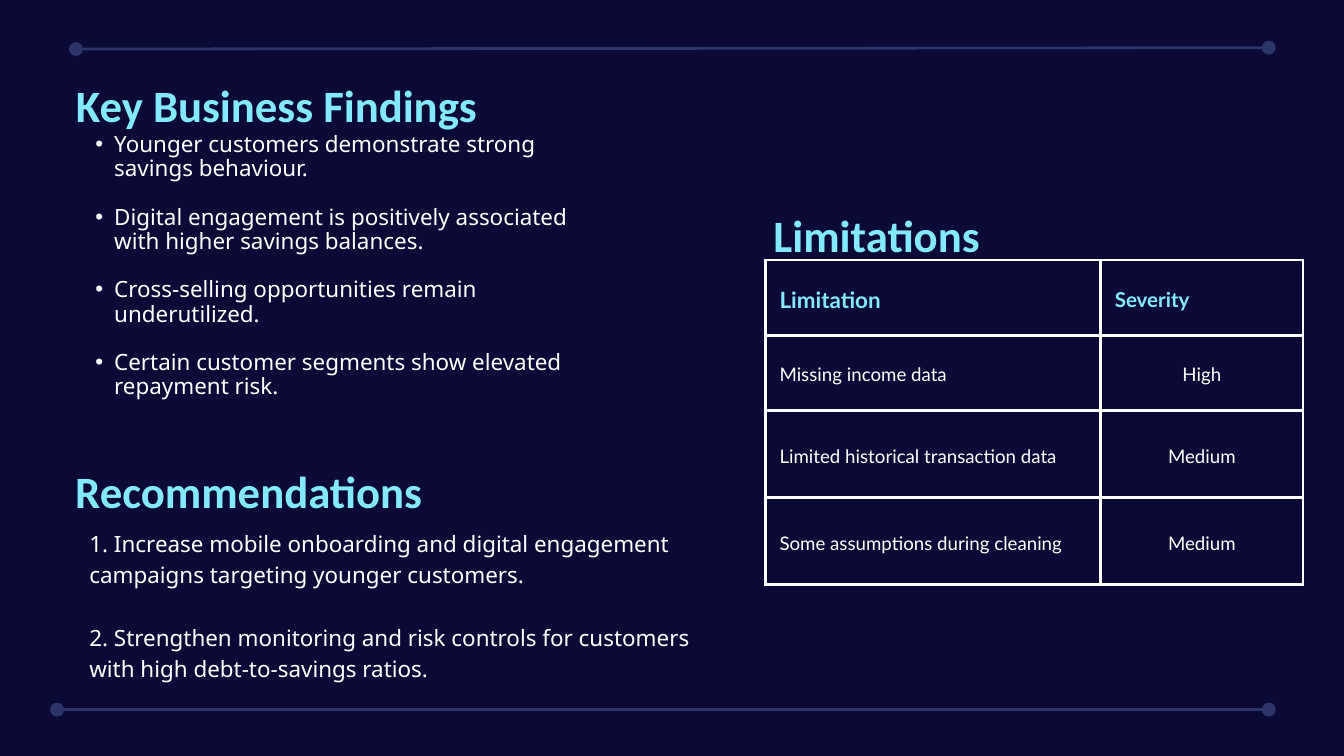
from lxml.etree import SubElement
from pptx import Presentation
from pptx.dml.color import RGBColor
from pptx.enum.shapes import MSO_CONNECTOR
from pptx.enum.text import MSO_ANCHOR, MSO_AUTO_SIZE, PP_ALIGN
from pptx.oxml.ns import qn
from pptx.util import Inches, Pt

COLUMNS, ROWS = 200, 112.5
NAVY, SLATE, CYAN, WHITE = "0B0A36", "2B3567", "82EAFC", "FFFFFF"


def colour(value):
    return RGBColor.from_string(value)


class FindingsPage:
    heading_font, body_font, table_font = "Calibri", "Noto Sans", "Lato"
    line_width = Pt(3)

    def __init__(self, deck):
        self.column = deck.slide_width / COLUMNS
        self.row = deck.slide_height / ROWS
        self.page = deck.slides.add_slide(deck.slide_layouts[5])
        self.page.background.fill.solid()
        self.page.background.fill.fore_color.rgb = colour(NAVY)

    def place(self, left, top, width, height):
        return (round(left * self.column), round(top * self.row),
                round(width * self.column), round(height * self.row))

    def add_text(self, para, text, font, size, tint, spacing, bold=False, align=PP_ALIGN.LEFT):
        para.alignment = align
        para.line_spacing = Pt(spacing)
        span = para.add_run()
        span.text = text
        span.font.name = font
        span.font.size = Pt(size)
        span.font.bold = bold
        span.font.color.rgb = colour(tint)

    def prepare(self, box):
        frame = box.text_frame
        frame.word_wrap = True
        frame.auto_size = MSO_AUTO_SIZE.SHAPE_TO_FIT_TEXT
        frame.vertical_anchor = MSO_ANCHOR.TOP
        frame.margin_left = frame.margin_top = frame.margin_right = frame.margin_bottom = 0
        return frame

    def heading(self, text, left, top, is_title=False):
        area = self.place(left, top, 77.6, 9.1)
        if is_title:
            box = self.page.shapes.title
            box.left, box.top, box.width, box.height = area
        else:
            box = self.page.shapes.add_textbox(*area)
        para = self.prepare(box).paragraphs[0]
        self.add_text(para, text, self.heading_font, 48, CYAN, 67.2, bold=True)

    def body(self, texts, area, spacing, bulleted=False):
        frame = self.prepare(self.page.shapes.add_textbox(*self.place(*area)))
        for index, text in enumerate(texts):
            para = frame.add_paragraph() if index else frame.paragraphs[0]
            if index:
                para.space_before = Pt(spacing)
            if bulleted:
                self.bullet(para)
            self.add_text(para, text, self.body_font, 24, WHITE, spacing)

    def bullet(self, para):
        properties = para._p.get_or_add_pPr()
        properties.set("marL", str(Inches(0.57)))
        properties.set("indent", str(Inches(-0.28)))
        SubElement(properties, qn("a:buFont"), typeface="Arial")
        SubElement(properties, qn("a:buChar"), char="•")

    def rule(self, start, end):
        x1, y1, x2, y2 = self.place(*start, *end)
        rule = self.page.shapes.add_connector(MSO_CONNECTOR.STRAIGHT, x1, y1, x2, y2)
        rule.line.color.rgb = colour(SLATE)
        rule.line.width = self.line_width
        line = rule.line._get_or_add_ln()
        for end_mark in ("a:headEnd", "a:tailEnd"):
            SubElement(line, qn(end_mark), type="oval", w="lg", len="lg")
        SubElement(rule._element.spPr, qn("a:effectLst"))

    def border(self, cell):
        properties = cell._tc.get_or_add_tcPr()
        for side in ("a:lnL", "a:lnR", "a:lnT", "a:lnB"):
            line = SubElement(properties, qn(side), w=str(self.line_width))
            fill = SubElement(line, qn("a:solidFill"))
            SubElement(fill, qn("a:srgbClr"), val=WHITE)

    def table(self, records, left, top, widths, heights):
        area = self.place(left, top, sum(widths), sum(heights))
        table = self.page.shapes.add_table(len(records), len(widths), *area).table
        table.first_row = table.horz_banding = False
        for column, width in zip(table.columns, widths):
            column.width = round(width * self.column)
        for row, height in zip(table.rows, heights):
            row.height = round(height * self.row)
        for r, record in enumerate(records):
            for c, text in enumerate(record):
                cell = table.cell(r, c)
                self.border(cell)
                cell.fill.background()
                cell.vertical_anchor = MSO_ANCHOR.MIDDLE
                cell.margin_left = cell.margin_right = Inches(0.21)
                cell.margin_top = cell.margin_bottom = Inches(0.21)
                is_header = r == 0
                size = (24, 22)[c] if is_header else 20
                align = PP_ALIGN.CENTER if c and not is_header else PP_ALIGN.LEFT
                self.add_text(cell.text_frame.paragraphs[0], text, self.table_font, size,
                              CYAN if is_header else WHITE, size * 1.4, is_header, align)


def main():
    deck = Presentation()
    deck.slide_width, deck.slide_height = Inches(20), Inches(11.25)
    findings = FindingsPage(deck)

    findings.rule((8.5, 105.6), (188.8, 105.6))
    findings.rule((11.3, 7.3), (188.8, 7.1))

    findings.table([
        ("Limitation", "Severity"),
        ("Missing income data", "High"),
        ("Limited historical transaction data", "Medium"),
        ("Some assumptions during cleaning", "Medium"),
    ], 113.9, 38.7, (49.9, 30.1), (11.2, 11.2, 12.95, 12.95))

    findings.heading("Key Business Findings", 11.3, 10.3, is_title=True)
    findings.body([
        "Younger customers demonstrate strong savings behaviour.",
        "Digital engagement is positively associated with higher savings balances.",
        "Cross-selling opportunities remain underutilized.",
        "Certain customer segments show elevated repayment risk.",
    ], (11.3, 19.8, 79.6, 38.9), 25.9, bulleted=True)

    findings.heading("Recommendations", 11.2, 67.6)
    findings.body([
        "1. Increase mobile onboarding and digital engagement campaigns "
        "targeting younger customers.",
        "2. Strengthen monitoring and risk controls for customers "
        "with high debt-to-savings ratios.",
    ], (13.3, 78.2, 90.4, 22.7), 33.6)

    findings.heading("Limitations", 115.1, 29.6)
    deck.save("out.pptx")


if __name__ == "__main__":
    main()
